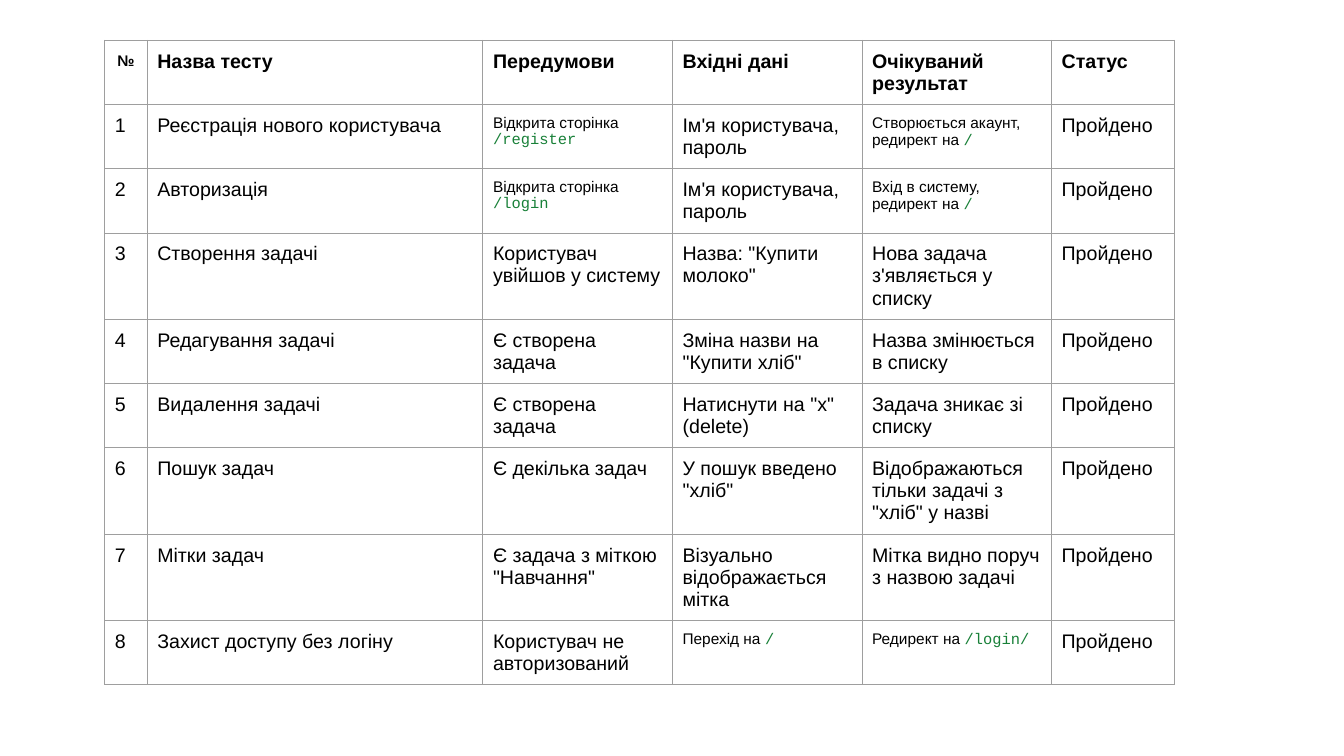
from lxml import etree
from pptx import Presentation
from pptx import util as u
from pptx.dml.color import RGBColor
from pptx.enum import text
from pptx.oxml import ns

HEADER = ["№", "Назва тесту", "Передумови", "Вхідні дані", "Очікуваний результат"]
TESTS = [
    ["Реєстрація нового користувача", "Відкрита сторінка /register",
     "Ім'я користувача, пароль", "Створюється акаунт, редирект на /"],
    ["Авторизація", "Відкрита сторінка /login",
     "Ім'я користувача, пароль", "Вхід в систему, редирект на /"],
    ["Створення задачі", "Користувач увійшов у систему",
     'Назва: "Купити молоко"', "Нова задача з'являється у списку"],
    ["Редагування задачі", "Є створена задача",
     'Зміна назви на "Купити хліб"', "Назва змінюється в списку"],
    ["Видалення задачі", "Є створена задача",
     'Натиснути на "х" (delete)', "Задача зникає зі списку"],
    ["Пошук задач", "Є декілька задач",
     'У пошук введено "хліб"', 'Відображаються тільки задачі з "хліб" у назві'],
    ["Мітки задач", 'Є задача з міткою "Навчання"',
     "Візуально відображається мітка", "Мітка видно поруч з назвою задачі"],
    ["Захист доступу без логіну", "Користувач не авторизований",
     "Перехід на /", "Редирект на /login/"],
]
COLUMN_WIDTHS = [0.42, 3.33, 1.88, 1.88, 1.88, 1.22]
ROW_HEIGHT = 0.54


def rgb(value):
    return RGBColor.from_string(value)


class TableSlide:
    font, code_font = "Arial", "Courier New"
    ink, code_ink, border = "000000", "188038", "9E9E9E"
    size, small = 14, 11
    inset = u.Inches(0.1)

    def __init__(self, prs):
        self.s = prs.slides.add_slide(prs.slide_layouts[6])

    def table(self, left, top, widths, rows):
        shape = self.s.shapes.add_table(
            len(rows), len(widths), u.Inches(left), u.Inches(top),
            u.Inches(sum(widths)), u.Inches(ROW_HEIGHT * len(rows)))
        tbl = shape.table
        tbl.first_row = tbl.horz_banding = False
        for column, width in zip(tbl.columns, widths):
            column.width = u.Inches(width)
        for i, row in enumerate(rows):
            tbl.rows[i].height = u.Inches(ROW_HEIGHT)
            for j, value in enumerate(row):
                self.cell(tbl.cell(i, j), value, bold=i == 0)
        return tbl

    def cell(self, cell, value, bold):
        self.borders(cell)
        cell.fill.background()
        cell.margin_left = cell.margin_right = self.inset
        cell.margin_top = cell.margin_bottom = self.inset
        # A slash starts a route, which is set as code
        label, slash, rest = value.partition("/")
        p = cell.text_frame.paragraphs[0]
        p.font.size = u.Pt(self.small if slash else self.size)
        p.font.bold = bold
        self.run(p, label, self.font, self.ink)
        if slash:
            self.run(p, slash + rest, self.code_font, self.code_ink)

    def run(self, p, value, font, color):
        r = p.add_run()
        r.text = value
        r.font.name = font
        r.font.color.rgb = rgb(color)

    def borders(self, cell):
        tcPr = cell._tc.get_or_add_tcPr()
        for side in "LRTB":
            ln = etree.SubElement(tcPr, ns.qn(f"a:ln{side}"), w=str(u.Pt(0.75)))
            fill = etree.SubElement(ln, ns.qn("a:solidFill"))
            etree.SubElement(fill, ns.qn("a:srgbClr"), val=self.border)


def main():
    prs = Presentation()
    prs.slide_width, prs.slide_height = u.Inches(13.33), u.Inches(7.5)
    slide = TableSlide(prs)

    # Test cases, numbered in order and all passed
    rows = [HEADER + ["Статус"]]
    rows += [[str(n), *test, "Пройдено"] for n, test in enumerate(TESTS, 1)]
    tbl = slide.table(1.04, 0.4, COLUMN_WIDTHS, rows)

    # Small centred number sign
    p = tbl.cell(0, 0).text_frame.paragraphs[0]
    p.alignment = text.PP_ALIGN.CENTER
    p.line_spacing = 1.15
    p.font.size = u.Pt(TableSlide.small)

    prs.save("out.pptx")


if __name__ == "__main__":
    main()
